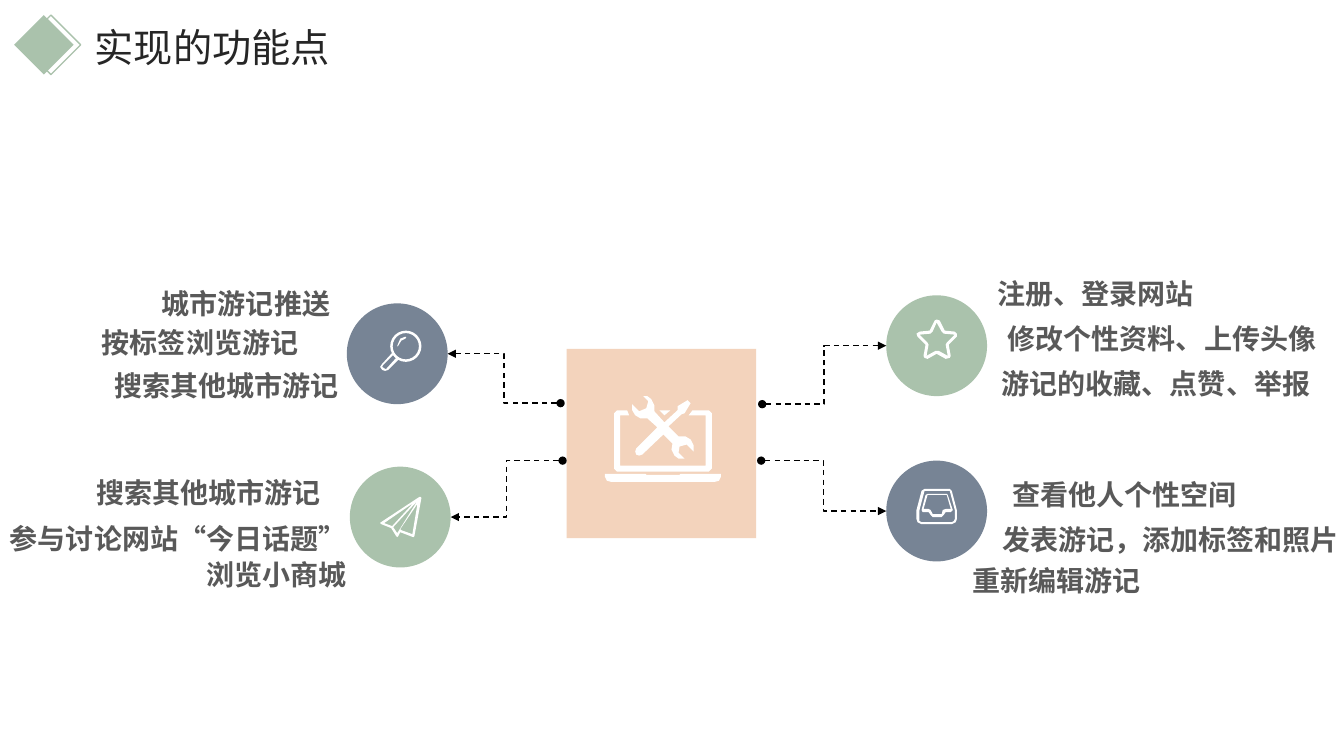
from lxml.etree import SubElement as sub
from pptx import Presentation
from pptx.dml.color import RGBColor
from pptx.enum.dml import MSO_LINE as Dash
from pptx.enum.shapes import MSO_CONNECTOR as Conn, MSO_SHAPE as Form
from pptx.enum.text import MSO_ANCHOR as Anchor, MSO_AUTO_SIZE as Fit, PP_ALIGN as Align
from pptx.oxml.ns import qn
from pptx.util import Inches, Pt

FONT = "Noto Sans CJK SC"
HUES = {"green": "AAC2AC", "slate": "778495", "peach": "F3D3BC", "white": "FFFFFF",
        "title": "262626", "text": "595959", "line": "000000"}
UNIT = Inches(0.01)
DISC = 1.0

# Icons are lists of outlines; each outline is a list of contours,
# in hundredths of an inch from the corner of the icon's box.
STAR = [[
    [(70, 38), (68, 36), (58, 35), (53, 25), (50, 24), (48, 25), (43, 35), (33, 36),
     (30, 38), (31, 41), (39, 49), (37, 60), (38, 62), (41, 63), (50, 58), (59, 63),
     (63, 62), (64, 60), (62, 49), (70, 41)],
    [(60, 47), (59, 49), (61, 60), (52, 55), (49, 55), (40, 60), (42, 49), (41, 47),
     (33, 39), (44, 38), (46, 36), (50, 27), (55, 36), (57, 38), (68, 39)],
]]
TRAY = [
    [[(70, 49), (65, 30), (63, 28), (38, 28), (35, 30), (30, 49), (30, 58), (31, 61),
      (35, 63), (65, 63), (69, 61), (70, 58)],
     [(68, 58), (67, 60), (65, 61), (35, 61), (33, 60), (33, 49), (38, 30), (63, 30),
      (68, 49)]],
    [[(60, 33), (41, 33), (39, 34), (35, 49), (36, 51), (42, 51), (44, 54), (46, 56),
      (55, 56), (57, 54), (59, 51), (64, 51), (66, 49), (61, 34)],
     [(61, 48), (59, 48), (56, 49), (55, 53), (46, 53), (44, 49), (42, 48), (37, 48),
      (41, 34), (60, 34), (64, 48)]],
]
LENS = [
    [[(45, 49), (35, 60), (33, 63), (35, 66), (38, 67), (41, 66), (52, 55)],
     [(39, 65), (38, 65), (35, 63), (36, 61), (46, 51), (49, 54)]],
    [[(58, 33), (53, 35), (50, 42), (50, 43), (51, 42), (54, 37), (58, 35), (59, 34)]],
]
PLANE = [[
    [(70, 30), (69, 30), (31, 55), (30, 56), (31, 57), (41, 61), (46, 69), (47, 70),
     (48, 69), (50, 65), (63, 70), (64, 69), (71, 31)],
    [(34, 56), (63, 36), (42, 59)],
    [(43, 60), (67, 34), (47, 66)],
    [(62, 67), (51, 63), (50, 62), (67, 37)],
]]
LAPTOP = [
    [[(153, 124), (113, 124), (112, 125), (79, 125), (78, 124), (38, 124), (38, 127),
      (40, 131), (44, 132), (147, 132), (151, 131), (153, 127)]],
    [[(92, 61), (97, 66), (103, 61)]],
    [[(141, 61), (125, 61), (121, 66), (138, 66), (138, 116), (53, 116), (53, 66),
      (62, 66), (60, 61), (50, 61), (47, 64), (47, 119), (50, 122), (141, 122),
      (144, 119), (144, 64)]],
    [[(123, 90), (118, 87), (111, 87), (101, 77), (114, 65), (117, 64), (123, 54),
      (120, 51), (110, 57), (110, 61), (97, 73), (87, 62), (87, 56), (84, 50), (80, 47),
      (76, 47), (81, 52), (79, 59), (72, 62), (65, 55), (65, 61), (68, 66), (73, 69),
      (80, 69), (90, 78), (69, 99), (68, 102), (69, 105), (72, 106), (75, 105), (96, 85),
      (105, 94), (104, 100), (107, 106), (111, 109), (117, 109), (111, 103), (112, 97),
      (119, 95), (126, 102), (126, 96)]],
]

# Disc corner, colour, icon, link start, link end, then labels: text, x, y, width, alignment.
ITEMS = [
    ((3.44, 3.01), "slate", LENS, (5.56, 4), (4.44, 3.51), [
        ("城市游记推送", 1.5, 2.79, 1.88, Align.CENTER),
        ("按标签浏览游记", 0.9, 3.18, 2.17, Align.CENTER),
        ("搜索其他城市游记", 1.02, 3.61, 2.45, Align.CENTER)]),
    ((3.47, 4.63), "green", PLANE, (5.58, 4.57), (4.47, 5.13), [
        ("搜索其他城市游记", 0.86, 4.67, 2.45, Align.LEFT),
        ("参与讨论网站“今日话题”", 0, 5.12, 3.57, Align.LEFT),
        ("浏览小商城", 1.95, 5.48, 1.6, Align.LEFT)]),
    ((8.79, 2.93), "green", STAR, (7.56, 4.01), (8.79, 3.43), [
        ("注册、登录网站", 9.78, 2.69, 2.17, Align.CENTER),
        ("修改个性资料、上传头像", 9.88, 3.14, 3.29, Align.CENTER),
        ("游记的收藏、点赞、举报", 9.82, 3.59, 3.29, Align.CENTER)]),
    ((8.79, 4.57), "slate", TRAY, (7.55, 4.57), (8.79, 5.07), [
        ("查看他人个性空间", 9.94, 4.69, 2.45, Align.LEFT),
        ("发表游记，添加标签和照片", 9.62, 5.13, 3.98, Align.CENTER),
        ("重新编辑游记", 9.54, 5.54, 1.88, Align.CENTER)]),
]


def rgb(hue):
    return RGBColor.from_string(HUES[hue])


def paint(shape, fill=None, line=None):
    shape.shadow.inherit = False
    if fill:
        shape.fill.solid()
        shape.fill.fore_color.rgb = rgb(fill)
    else:
        shape.fill.background()
    if line:
        shape.line.color.rgb = rgb(line)
        shape.line.width = Pt(1)
    else:
        shape.line.fill.background()
    return shape


def add_form(slide, form, box, fill=None, line=None):
    shape = slide.shapes.add_shape(form, *map(Inches, box))
    return paint(shape, fill, line)


def write(shape, text, size, hue, align, bold=False):
    frame = shape.text_frame
    frame.word_wrap = False
    frame.auto_size = Fit.SHAPE_TO_FIT_TEXT
    frame.vertical_anchor = Anchor.TOP
    para = frame.paragraphs[0]
    para.alignment = align
    run = para.add_run()
    run.text = text
    font = run.font
    font.name, font.size, font.bold = FONT, Pt(size), bold
    font.color.rgb = rgb(hue)
    sub(font._element, qn("a:ea"), typeface=FONT)


def draw_icon(slide, left, top, icon):
    for outline in icon:
        pen = slide.shapes.build_freeform(*outline[0][0], scale=UNIT)
        pen.add_line_segments(outline[0][1:])
        for hole in outline[1:]:
            pen.move_to(*hole[0])
            pen.add_line_segments(hole[1:])
        paint(pen.convert_to_shape(Inches(left), Inches(top)), "white")


def add_link(slide, start, end):
    """Draw a dashed elbow from a dot to an arrowhead."""
    link = slide.shapes.add_connector(Conn.ELBOW, *map(Inches, start + end))
    link.line.color.rgb = rgb("line")
    link.line.width = Pt(1)
    link.line.dash_style = Dash.DASH
    edge = link.line._get_or_add_ln()
    sub(edge, qn("a:headEnd"), type="oval")
    sub(edge, qn("a:tailEnd"), type="triangle")
    sub(link._element.spPr, qn("a:effectLst"))


def add_head(slide, left, top, text):
    side = 0.59
    add_form(slide, Form.DIAMOND, (left, top, side, side), "green")
    add_form(slide, Form.DIAMOND, (left + 0.07, top, side, side), line="green")
    title = slide.shapes.title
    title.left, title.top = Inches(left + 0.7), Inches(top + 0.03)
    title.width, title.height = Inches(2.56), Inches(0.57)
    write(title, text, 28, "title", Align.LEFT)


def add_hub(slide, left, top, side):
    add_form(slide, Form.RECTANGLE, (left, top, side, side), "peach")
    draw_icon(slide, left, top, LAPTOP)


def add_item(slide, spot, hue, icon, start, end, labels):
    left, top = spot
    add_form(slide, Form.OVAL, (left, top, DISC, DISC), hue)
    draw_icon(slide, left, top, icon)
    if icon is LENS:
        ring = add_form(slide, Form.DONUT, (left + 0.43, top + 0.27, 0.31, 0.31), "white")
        ring.adjustments[0] = 0.08
    add_link(slide, start, end)
    for text, x, y, width, align in labels:
        box = slide.shapes.add_textbox(*map(Inches, (x, y, width, 0.44)))
        write(box, text, 20, "text", align, True)


def main():
    deck = Presentation()
    deck.slide_width, deck.slide_height = Inches(13.33), Inches(7.5)
    slide = deck.slides.add_slide(deck.slide_layouts[5])
    add_head(slide, 0.14, 0.15, "实现的功能点")
    add_hub(slide, 5.62, 3.46, 1.88)
    for item in ITEMS:
        add_item(slide, *item)
    deck.save("out.pptx")


if __name__ == "__main__":
    main()
